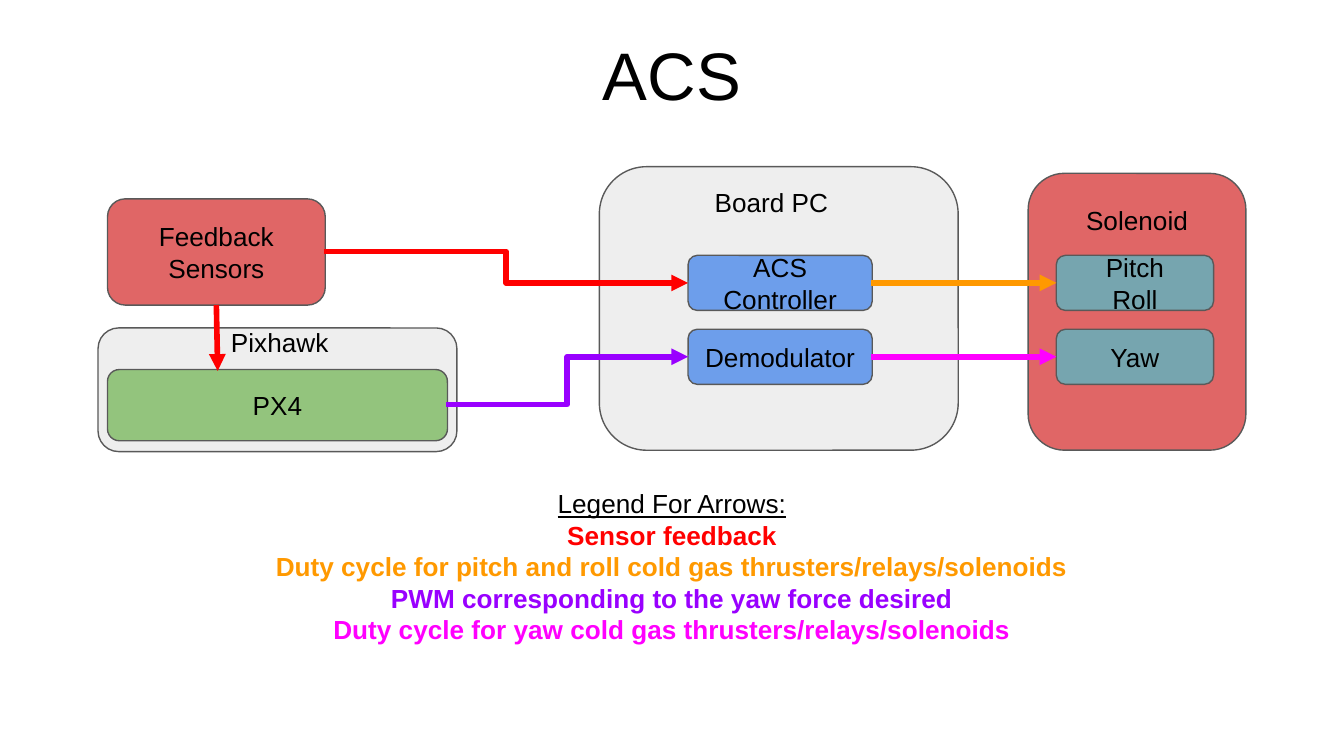
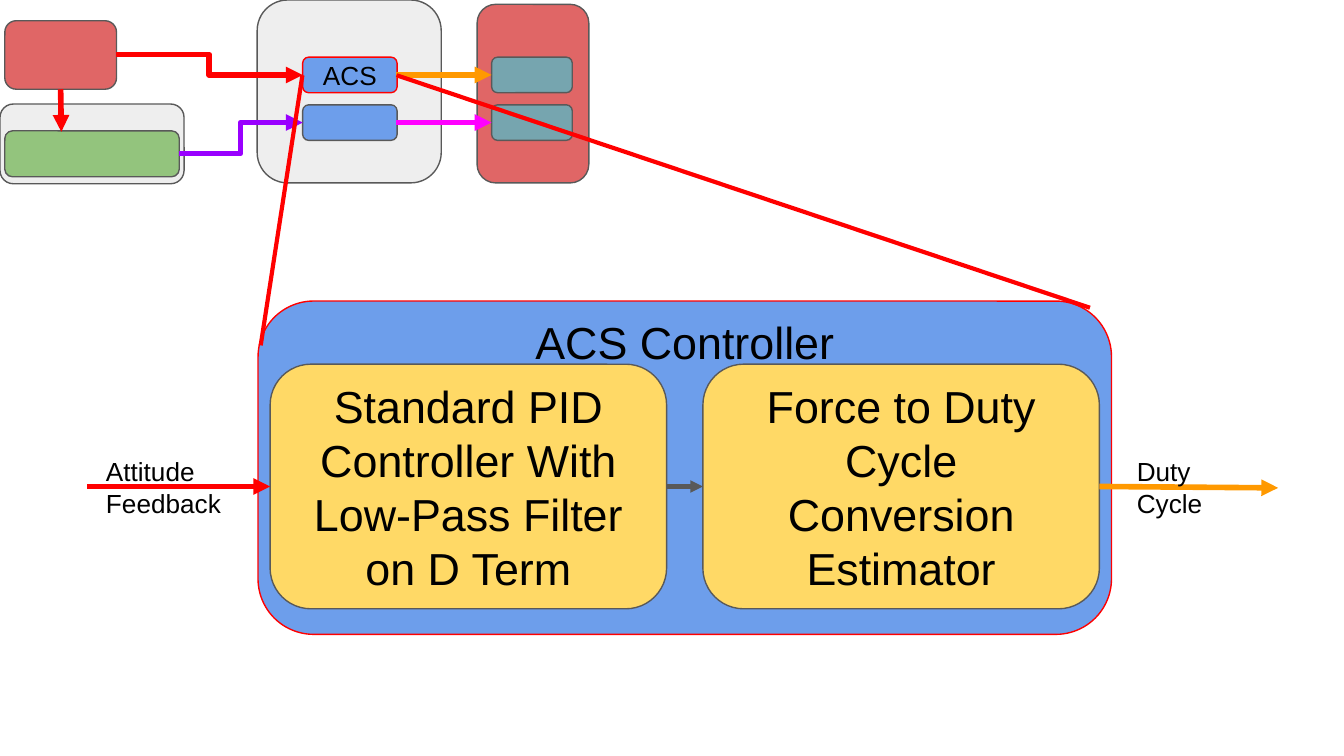
"""Build two slides on the attitude control system: its layout and its controller."""
from lxml import etree
from pptx import Presentation
from pptx.dml.color import RGBColor
from pptx.enum.shapes import MSO_CONNECTOR, MSO_SHAPE
from pptx.enum.text import MSO_ANCHOR, MSO_AUTO_SIZE, PP_ALIGN
from pptx.oxml.ns import qn
from pptx.util import Inches, Pt

ROUND = MSO_SHAPE.ROUNDED_RECTANGLE
ELBOW, LINE = MSO_CONNECTOR.ELBOW, MSO_CONNECTOR.STRAIGHT
LEFT, MID = PP_ALIGN.LEFT, PP_ALIGN.CENTER
TOP, CENTER = MSO_ANCHOR.TOP, MSO_ANCHOR.MIDDLE
FIXED = MSO_AUTO_SIZE.NONE

BLACK = RGBColor(0x00, 0x00, 0x00)
GRAY = RGBColor(0x59, 0x59, 0x59)
PALE = RGBColor(0xEE, 0xEE, 0xEE)
GREEN = RGBColor(0x93, 0xC4, 0x7D)
CORAL = RGBColor(0xE0, 0x66, 0x66)
BLUE = RGBColor(0x6D, 0x9E, 0xEB)
TEAL = RGBColor(0x76, 0xA5, 0xAF)
GOLD = RGBColor(0xFF, 0xD9, 0x66)
RED = RGBColor(0xFF, 0x00, 0x00)
ORANGE = RGBColor(0xFF, 0x99, 0x00)
PURPLE = RGBColor(0x99, 0x00, 0xFF)
PINK = RGBColor(0xFF, 0x00, 0xFF)

FONT = "Arial"
COLS, ROWS = 100, 56.25
CELL = Inches(0.1)
PAD = CELL
MAIN = "ACS Controller"

UPPER, LOWER, TALL = 19, 24.5, 4.1
HIGH, LOW = UPPER + TALL / 2, LOWER + TALL / 2
BLOCKS = [
    ("", (7.3, 24.4, 26.7, 9.2), PALE),
    ("PX4", (8, 27.5, 25.3, 5.3), GREEN),
    ("Feedback Sensors", (8, 14.8, 16.2, 7.9), CORAL),
    ("", (44.6, 12.4, 26.7, 21.1), PALE),
    ("", (76.5, 12.9, 16.2, 20.6), CORAL),
    (MAIN, (51.2, UPPER, 13.7, TALL), BLUE),
    ("Demodulator", (51.2, LOWER, 13.7, TALL), BLUE),
    ("Pitch\nRoll", (78.6, UPPER, 11.7, TALL), TEAL),
    ("Yaw", (78.6, LOWER, 11.7, TALL), TEAL),
]
LINKS = [
    (ELBOW, (24.1, 18.7, 51.2, HIGH), RED),
    (ELBOW, (33.2, 30.1, 51.2, LOW), PURPLE),
    (ELBOW, (64.8, HIGH, 78.6, HIGH), ORANGE),
    (ELBOW, (64.8, LOW, 78.6, LOW), PINK),
    (LINE, (16.1, 22.7, 16.2, 27.6), RED),
]
LEGEND = [
    ("Legend For Arrows:", BLACK),
    ("Sensor feedback", RED),
    ("Duty cycle for pitch and roll cold gas thrusters/relays/solenoids", ORANGE),
    ("PWM corresponding to the yaw force desired", PURPLE),
    ("Duty cycle for yaw cold gas thrusters/relays/solenoids", PINK),
]


def fill_text(shape, spot, text, size=14, align=MID, anchor=TOP, fill=None, edge=GRAY):
    """Place a shape on the grid, colour it and set its text."""
    shape.left, shape.top, shape.width, shape.height = [round(v * CELL) for v in spot]
    if fill is not None:
        shape.shadow.inherit = False
        shape.fill.solid()
        shape.fill.fore_color.rgb = fill
        shape.line.color.rgb = edge
        shape.line.width = Pt(0.75)
    frame = shape.text_frame
    frame.word_wrap = True
    frame.auto_size = FIXED
    frame.vertical_anchor = anchor
    frame.margin_left = frame.margin_right = PAD
    frame.margin_top = frame.margin_bottom = PAD
    frame.text = text
    for par in frame.paragraphs:
        par.alignment = align
        par.font.name = FONT
        par.font.size = Pt(size)
        par.font.color.rgb = BLACK


def add_link(slide, kind, ends, color, width=3, head=True):
    """Draw a line between two grid points, with an arrowhead if asked."""
    link = slide.shapes.add_connector(kind, *[round(v * CELL) for v in ends])
    link.line.color.rgb = color
    link.line.width = Pt(width)
    props = link.element.spPr
    if head:
        etree.SubElement(props.find(qn("a:ln")), qn("a:tailEnd"), type="triangle")
    etree.SubElement(props, qn("a:effectLst"))


deck = Presentation()
deck.slide_width = round(COLS * CELL)
deck.slide_height = round(ROWS * CELL)
plan = deck.slides.add_slide(deck.slide_layouts[1])
zoom = deck.slides.add_slide(deck.slide_layouts[5])

fill_text(plan.shapes.title, (21.8, 1.5, 56.4, 9.2), "ACS", 36)
legend = plan.placeholders[1]
lines = "\n".join(text for text, _ in LEGEND)
fill_text(legend, (7.3, 35.3, 85.4, 13.3), lines)
for par, (_, color) in zip(legend.text_frame.paragraphs, LEGEND):
    props = par._p.get_or_add_pPr()
    props.set("marL", "0")
    props.set("indent", "0")
    props.insert(0, etree.Element(qn("a:buNone")))
    par.space_before = Pt(0)
    par.font.color.rgb = color
    par.font.bold = color != BLACK
    par.font.underline = color == BLACK

frame = zoom.shapes.add_shape(ROUND, 0, 0, CELL, CELL)
fill_text(frame, (19.2, 22.4, 63.5, 24.8), "", fill=BLUE, edge=RED)
title = zoom.shapes.title
zoom.shapes.element.append(title.element)
fill_text(title, (34, 22.4, 33.9, 2.7), MAIN, 24)
STEPS = ["Standard PID Controller With Low-Pass Filter on D Term",
         "Force to Duty Cycle Conversion Estimator"]
for col, text in enumerate(STEPS):
    step = zoom.shapes.add_shape(ROUND, 0, 0, CELL, CELL)
    fill_text(step, (20.1 + col * 32.2, 27.1, 29.5, 18.2), text, 24,
              anchor=CENTER, fill=GOLD)
add_link(zoom, LINE, (49.6, 36.2, 52.3, 36.2), GRAY, 2.25)
add_link(zoom, LINE, (6.5, 36.2, 20.1, 36.2), RED)
add_link(zoom, LINE, (81.8, 36.2, 95.1, 36.3), ORANGE)

for slide, wide, high, left, top in [(plan, 1, 1, 0, 0),
                                     (zoom, 0.513, 0.645, 7.3, 12.4)]:
    for text, (x, y, w, h), color in BLOCKS:
        edge = GRAY
        if slide is zoom:
            edge = RED if text == MAIN else GRAY
            text = "ACS" if text == MAIN else ""
        block = slide.shapes.add_shape(ROUND, 0, 0, CELL, CELL)
        spot = ((x - left) * wide, (y - top) * high, w * wide, h * high)
        fill_text(block, spot, text, anchor=CENTER, fill=color, edge=edge)
    for kind, (x1, y1, x2, y2), color in LINKS:
        ends = ((x1 - left) * wide, (y1 - top) * high,
                (x2 - left) * wide, (y2 - top) * high)
        add_link(slide, kind, ends, color)

for slide, text, spot, align in [
    (plan, "Board PC", (52, 12.9, 10.8, 3.1), MID),
    (plan, "Solenoid", (79.2, 14.2, 10.8, 3.1), MID),
    (plan, "Pixhawk", (16.2, 23.4, 10.8, 1.8), LEFT),
    (zoom, "Attitude Feedback", (6.9, 32.9, 11.1, 2.7), LEFT),
    (zoom, "Duty Cycle", (83.6, 32.9, 11.1, 2.7), LEFT),
]:
    label = slide.shapes.add_textbox(0, 0, CELL, CELL)
    fill_text(label, spot, text, align=align)

for ends in [(22.5, 5.6, 19.4, 25.7), (29.5, 5.6, 81.1, 22.9)]:
    add_link(zoom, LINE, ends, RED, 2.25, False)

deck.save("out.pptx")
